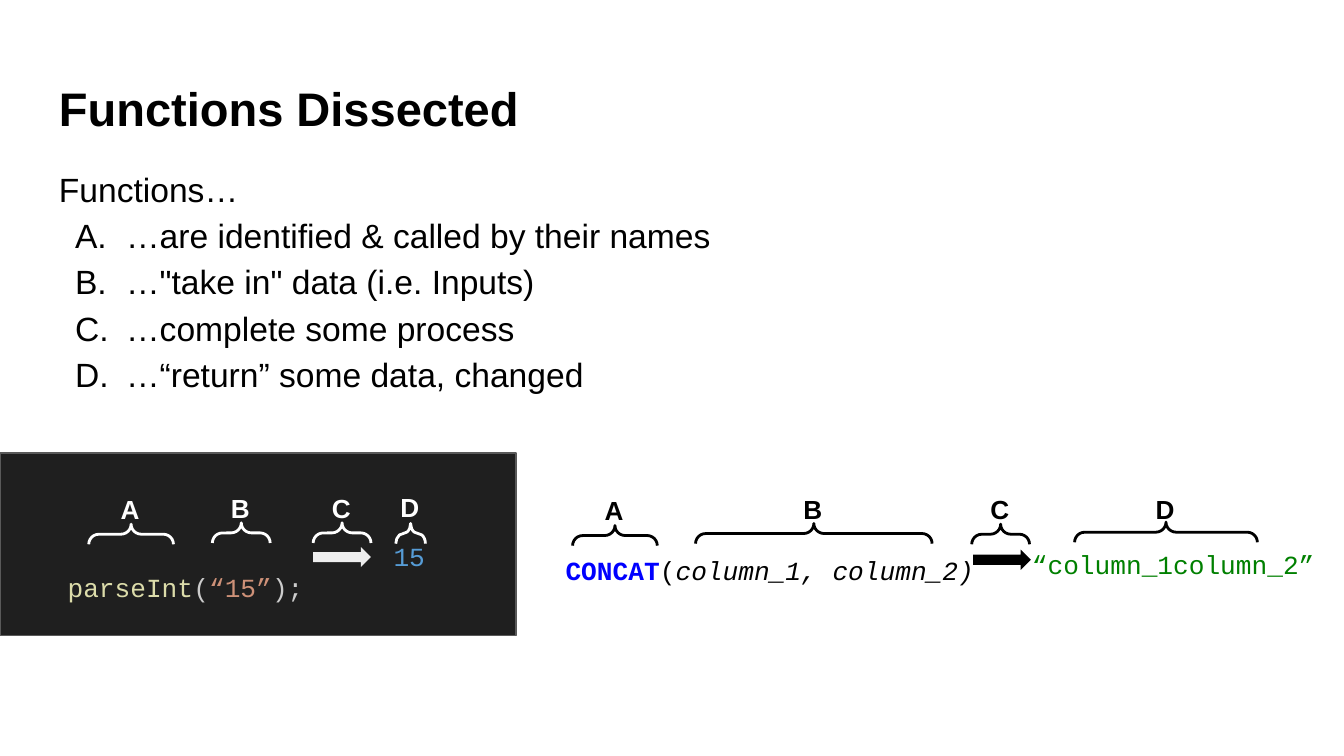
from pptx import Presentation
from pptx.dml.color import RGBColor
from pptx.enum.shapes import MSO_SHAPE
from pptx.enum.text import MSO_ANCHOR, PP_ALIGN
from pptx.oxml.xmlchemy import OxmlElement
from pptx.util import Pt

RECTANGLE = MSO_SHAPE.RECTANGLE
BRACE = MSO_SHAPE.LEFT_BRACE
ARROW = MSO_SHAPE.RIGHT_ARROW
TOP = MSO_ANCHOR.TOP
LEFT, CENTER = PP_ALIGN.LEFT, PP_ALIGN.CENTER

EMU_PER_PX = 9144
INSET = 10
BRACE_DEPTH = 15
LABEL_WIDTH = 28
BLACK, WHITE = "000000", "FFFFFF"
SANS, MONO = "Arial", "Courier New"

STEPS = [
    "…are identified & called by their names",
    "…\"take in\" data (i.e. Inputs)",
    "…complete some process",
    "…“return” some data, changed",
]

CODE_PARTS = [
    ("A", 90, 366, 63, 357, 68),
    ("B", 172, 375, 43, 356, 68),
    ("C", 247, 375, 43, 356, 68),
    ("D", 298, 386, 22, 356, 44),
]
QUERY_PARTS = [
    ("A", 450, 367, 63, 358, 68),
    ("B", 598, 309, 176, 357, 68),
    ("C", 737, 376, 43, 357, 68),
    ("D", 860, 328, 136, 357, 44),
]


def px(value):
    return value * EMU_PER_PX


def color(value):
    return RGBColor.from_string(value)


def add_box(slide, *bounds):
    frame = slide.shapes.add_textbox(*map(px, bounds)).text_frame
    frame.word_wrap = True
    frame.vertical_anchor = TOP
    frame.margin_left = frame.margin_right = px(INSET)
    frame.margin_top = frame.margin_bottom = px(INSET)
    return frame


def style_paragraph(paragraph, font_name, size, fill=BLACK, bold=False,
                    spacing=1.0, align=LEFT):
    font = paragraph.font
    font.name, font.size, font.bold = font_name, Pt(size), bold
    font.color.rgb = color(fill)
    paragraph.line_spacing = spacing
    paragraph.alignment = align


def add_text(slide, bounds, text, *style, **options):
    paragraph = add_box(slide, *bounds).paragraphs[0]
    paragraph.text = text
    style_paragraph(paragraph, *style, **options)


def add_code(slide, bounds, pieces, spacing, align=LEFT):
    paragraph = add_box(slide, *bounds).paragraphs[0]
    style_paragraph(paragraph, MONO, 14, spacing=spacing, align=align)
    for text, fill, bold, italic in pieces:
        run = paragraph.add_run()
        run.text = text
        run.font.color.rgb = color(fill)
        run.font.bold, run.font.italic = bold, italic


def number_paragraph(paragraph):
    properties = paragraph._p.get_or_add_pPr()
    properties.set("marL", str(px(50)))
    properties.set("indent", str(px(-38)))
    numbering = OxmlElement("a:buAutoNum")
    numbering.set("type", "alphaUcPeriod")
    properties.insert_element_before(numbering, "a:tabLst", "a:defRPr", "a:extLst")


def add_steps(slide, bounds, heading, steps):
    frame = add_box(slide, *bounds)
    frame.text = "\n".join([heading, *steps])
    for paragraph in frame.paragraphs:
        style_paragraph(paragraph, SANS, 18, spacing=1.15)
    for paragraph in frame.paragraphs[1:]:
        number_paragraph(paragraph)


def add_shape(slide, kind, bounds, fill=None, line=None, line_width=1.5):
    shape = slide.shapes.add_shape(kind, *map(px, bounds))
    shape.shadow.inherit = False
    if fill:
        shape.fill.solid()
        shape.fill.fore_color.rgb = color(fill)
    else:
        shape.fill.background()
    if line:
        shape.line.color.rgb = color(line)
        shape.line.width = Pt(line_width)
    else:
        shape.line.fill.background()
    return shape


def add_labelled_braces(slide, parts, fill):
    for letter, left, top, length, label_top, label_height in parts:
        brace = add_shape(slide, BRACE, (left, top, BRACE_DEPTH, length), line=fill)
        brace.rotation = 90
        brace.adjustments[0] = brace.adjustments[1] = 0.5
        label = (left - INSET, label_top, LABEL_WIDTH, label_height)
        add_text(slide, label, letter, SANS, 14, fill, bold=True)


def main():
    presentation = Presentation()
    presentation.slide_width = px(1000)
    presentation.slide_height = px(1000) * 9 // 16
    slide = presentation.slides.add_slide(presentation.slide_layouts[6])

    add_text(slide, (34, 49, 932, 63), "Functions Dissected", SANS, 25.2, bold=True)
    add_steps(slide, (34, 111, 932, 190), "Functions…", STEPS)

    add_shape(slide, RECTANGLE, (0, 337, 384, 136), "1F1F1F", "595959", 0.75)
    add_code(slide, (34, 392, 208, 44), [
        ("parseInt", "DCDCAA", False, False),
        ("(", "CCCCCC", False, False),
        ("“15”", "CE9178", False, False),
        (");", "CCCCCC", False, False),
    ], 2.0, CENTER)
    add_labelled_braces(slide, CODE_PARTS, WHITE)
    add_shape(slide, ARROW, (233, 407, 43, 15), "EEEEEE")
    add_text(slide, (283, 392, 56, 44), "15", MONO, 14, "569CD6")

    add_code(slide, (411, 394, 433, 44), [
        ("CONCAT", "0000FF", True, False),
        ("(", BLACK, False, False),
        ("column_1, column_2)", BLACK, False, True),
    ], 1.36)
    add_labelled_braces(slide, QUERY_PARTS, BLACK)
    add_shape(slide, ARROW, (724, 409, 43, 15), BLACK)
    add_text(slide, (758, 390, 247, 44), "“column_1column_2”", MONO, 14, "008000",
             spacing=1.36)

    presentation.save("out.pptx")


if __name__ == "__main__":
    main()
